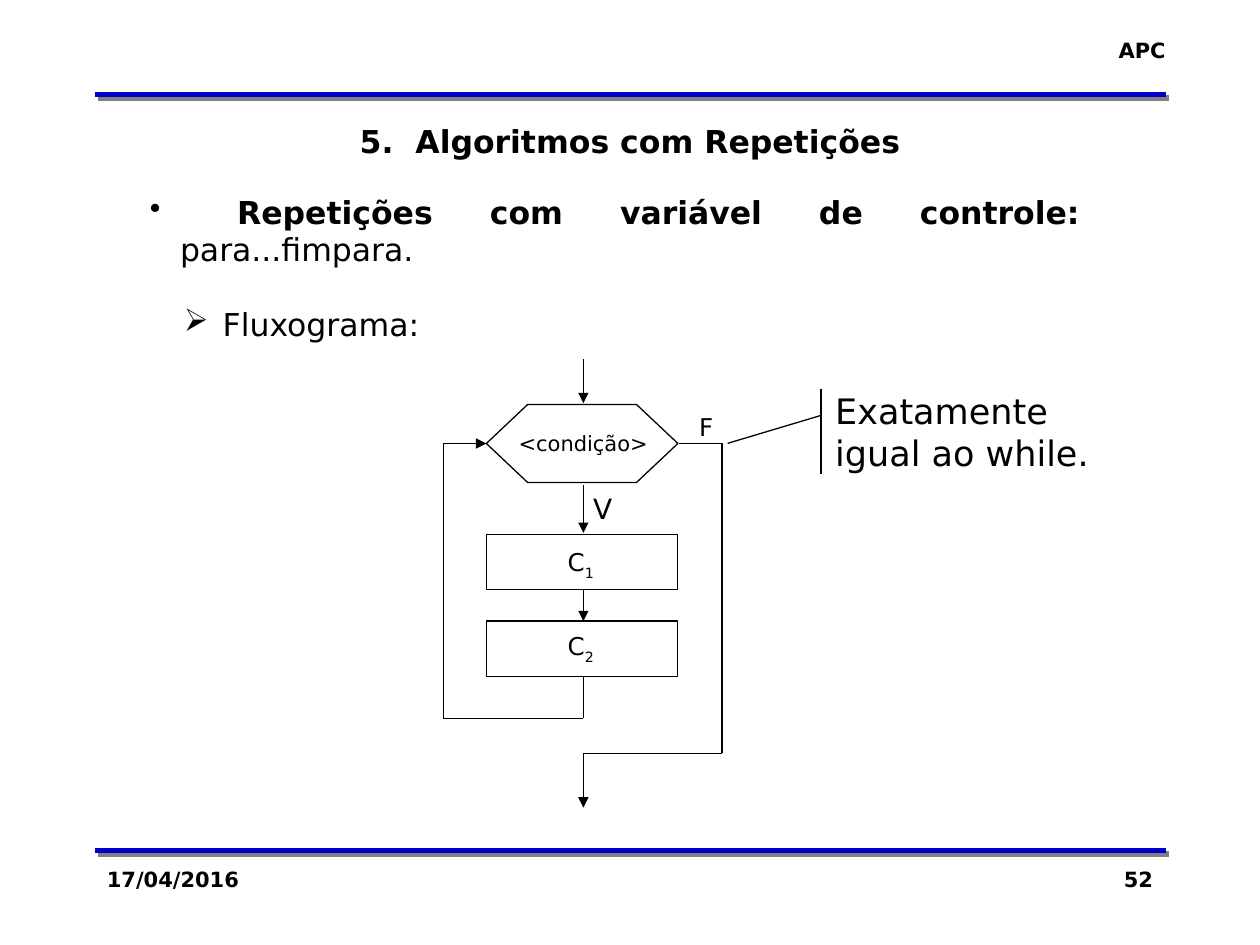
from dataclasses import dataclass
from itertools import pairwise

from lxml.etree import SubElement
from pptx import Presentation
from pptx.dml.color import RGBColor
from pptx.enum.shapes import MSO_CONNECTOR, MSO_SHAPE
from pptx.enum.text import MSO_ANCHOR, PP_ALIGN
from pptx.oxml.ns import qn
from pptx.util import Inches, Pt


@dataclass(frozen=True)
class Theme:
    font: str = "DejaVu Sans"
    black: RGBColor = RGBColor(0, 0, 0)
    white: RGBColor = RGBColor(255, 255, 255)
    rule: RGBColor = RGBColor(0, 0, 0xCC)
    rule_shadow: str = "808080"
    small: int = 12
    step: int = 14
    branch: int = 16
    body: int = 18
    note: int = 20
    thin: float = 0.75
    thick: float = 3


class SlideBuilder:
    def __init__(self, slide, theme):
        self.slide = slide
        self.theme = theme

    def style(self, item, size, bold=False):
        """Format the font of a paragraph or a run."""
        item.font.name = self.theme.font
        item.font.size = Pt(size)
        item.font.bold = bold
        item.font.color.rgb = self.theme.black

    def fill_text(self, box, text, size, bold=False, align=PP_ALIGN.LEFT,
                  anchor=MSO_ANCHOR.TOP, wrap=True):
        frame = box.text_frame
        frame.text = text
        frame.word_wrap = wrap
        frame.vertical_anchor = anchor
        for para in frame.paragraphs:
            para.alignment = align
            for span in para.runs:
                self.style(span, size, bold)
        return frame

    def text(self, bounds, text, size, **options):
        box = self.slide.shapes.add_textbox(*map(Inches, bounds))
        return self.fill_text(box, text, size, **options)

    def bullet(self, para, mark, margin, indent):
        properties = para._p.get_or_add_pPr()
        properties.set("marL", str(Inches(margin)))
        properties.set("indent", str(Inches(indent)))
        SubElement(properties, qn("a:buChar"), char=mark)

    def shape(self, kind, bounds, line, fill=None):
        shape = self.slide.shapes.add_shape(kind, *map(Inches, bounds))
        shape.shadow.inherit = False
        if fill is None:
            shape.fill.background()
        else:
            shape.fill.solid()
            shape.fill.fore_color.rgb = fill
        shape.line.color.rgb = line
        shape.line.width = Pt(self.theme.thin)
        return shape

    def line(self, start, end, color, width):
        line = self.slide.shapes.add_connector(
            MSO_CONNECTOR.STRAIGHT, *map(Inches, (*start, *end)))
        line.line.color.rgb = color
        line.line.width = Pt(width)
        effects = SubElement(line._element.spPr, qn("a:effectLst"))
        return line, effects

    def rule(self, y):
        _, effects = self.line((0.75, y), (9.25, y),
                               self.theme.rule, self.theme.thick)
        shadow = SubElement(effects, qn("a:outerShdw"), dist=str(Pt(2.8)),
                            dir="2700000", algn="ctr", rotWithShape="0")
        SubElement(shadow, qn("a:srgbClr"), val=self.theme.rule_shadow)

    def route(self, *points):
        """Join the points with straight lines, the last one with an arrowhead."""
        for start, end in pairwise(points):
            line, _ = self.line(start, end, self.theme.black, self.theme.thin)
        outline = line._element.spPr.find(qn("a:ln"))
        SubElement(outline, qn("a:tailEnd"), type="triangle")

    def command(self, top, label_top, number):
        theme = self.theme
        self.shape(MSO_SHAPE.RECTANGLE, (3.86, top, 1.52, 0.44),
                   theme.black, theme.white)
        label = self.shape(MSO_SHAPE.RECTANGLE, (4.34, label_top, 0.54, 0.33),
                           theme.white, theme.white)
        frame = self.fill_text(label, "C", theme.step, align=PP_ALIGN.CENTER)
        span = frame.paragraphs[0].add_run()
        span.text = number
        self.style(span, theme.step)
        span._r.get_or_add_rPr().set("baseline", "-30000")


def main():
    deck = Presentation()
    deck.slide_width, deck.slide_height = Inches(10), Inches(7.5)
    theme = Theme()
    builder = SlideBuilder(deck.slides.add_slide(deck.slide_layouts[6]), theme)

    # Header and footer
    for y in (6.75, 0.75):
        builder.rule(y)
    builder.text((8.77, 0.25, 0.58, 0.3), "APC", theme.small, bold=True,
                 align=PP_ALIGN.RIGHT, wrap=False)
    builder.text((0.75, 6.83, 2.08, 0.5), "17/04/2016", theme.small, bold=True)
    builder.text((7.17, 6.83, 2.08, 0.5), "52", theme.small, bold=True,
                 align=PP_ALIGN.RIGHT)

    # Title
    builder.text((0.75, 0.92, 8.5, 0.4), "5.  Algoritmos com Repetições",
                 theme.body, bold=True, align=PP_ALIGN.CENTER)

    # Topics
    frame = builder.text((1.09, 1.48, 7.58, 1.01),
                         " Repetições com variável de controle: \n Fluxograma:",
                         theme.body)
    topic, subtopic = frame.paragraphs
    topic.alignment = PP_ALIGN.JUSTIFY
    builder.style(topic.runs[0], theme.body, bold=True)
    span = topic.add_run()
    span.text = "para...fimpara."
    builder.style(span, theme.body)
    subtopic.level = 1
    subtopic.space_before = Pt(21)
    builder.bullet(topic, "•", 0.24, -0.24)
    builder.bullet(subtopic, "➢", 0.5, -0.23)

    # Flowchart steps
    hexagon = builder.shape(MSO_SHAPE.HEXAGON, (3.86, 3.21, 1.52, 0.62),
                            theme.black, theme.white)
    hexagon.adjustments[0] = 0.53
    builder.command(4.24, 4.29, "1")
    builder.command(4.93, 4.96, "2")

    # Flowchart arrows
    center, left, right, middle = 4.63, 3.52, 5.73, 3.52
    for top, bottom in ((2.85, 3.2), (3.85, 4.23), (4.68, 4.93)):
        builder.route((center, top), (center, bottom))
    builder.route((center, 5.37), (center, 5.7), (left, 5.7),
                  (left, middle), (3.86, middle))
    builder.route((5.39, middle), (right, middle), (right, 5.98),
                  (center, 5.98), (center, 6.41))

    # Flowchart labels
    condition = builder.shape(MSO_SHAPE.RECTANGLE, (4.08, 3.4, 1.1, 0.24),
                              theme.white, theme.white)
    frame = builder.fill_text(condition, "<condição>", theme.small,
                              align=PP_ALIGN.CENTER, anchor=MSO_ANCHOR.MIDDLE)
    frame.margin_left = frame.margin_right = 0
    frame.margin_top = frame.margin_bottom = 0
    builder.text((4.61, 3.85, 0.36, 0.37), "V", theme.branch, wrap=False)
    builder.text((5.45, 3.22, 0.31, 0.34), "F", theme.step, wrap=False)

    # Callout
    callout = builder.shape(MSO_SHAPE.LINE_CALLOUT_1_ACCENT_BAR,
                            (6.53, 3.09, 1.51, 0.67), theme.black)
    for index, value in enumerate((0.31, -0.01, 0.64, -0.5)):
        callout.adjustments[index] = value
    builder.fill_text(callout, "Exatamente\nigual ao while.", theme.note,
                      anchor=MSO_ANCHOR.MIDDLE, wrap=False)

    deck.save("out.pptx")


if __name__ == "__main__":
    main()
